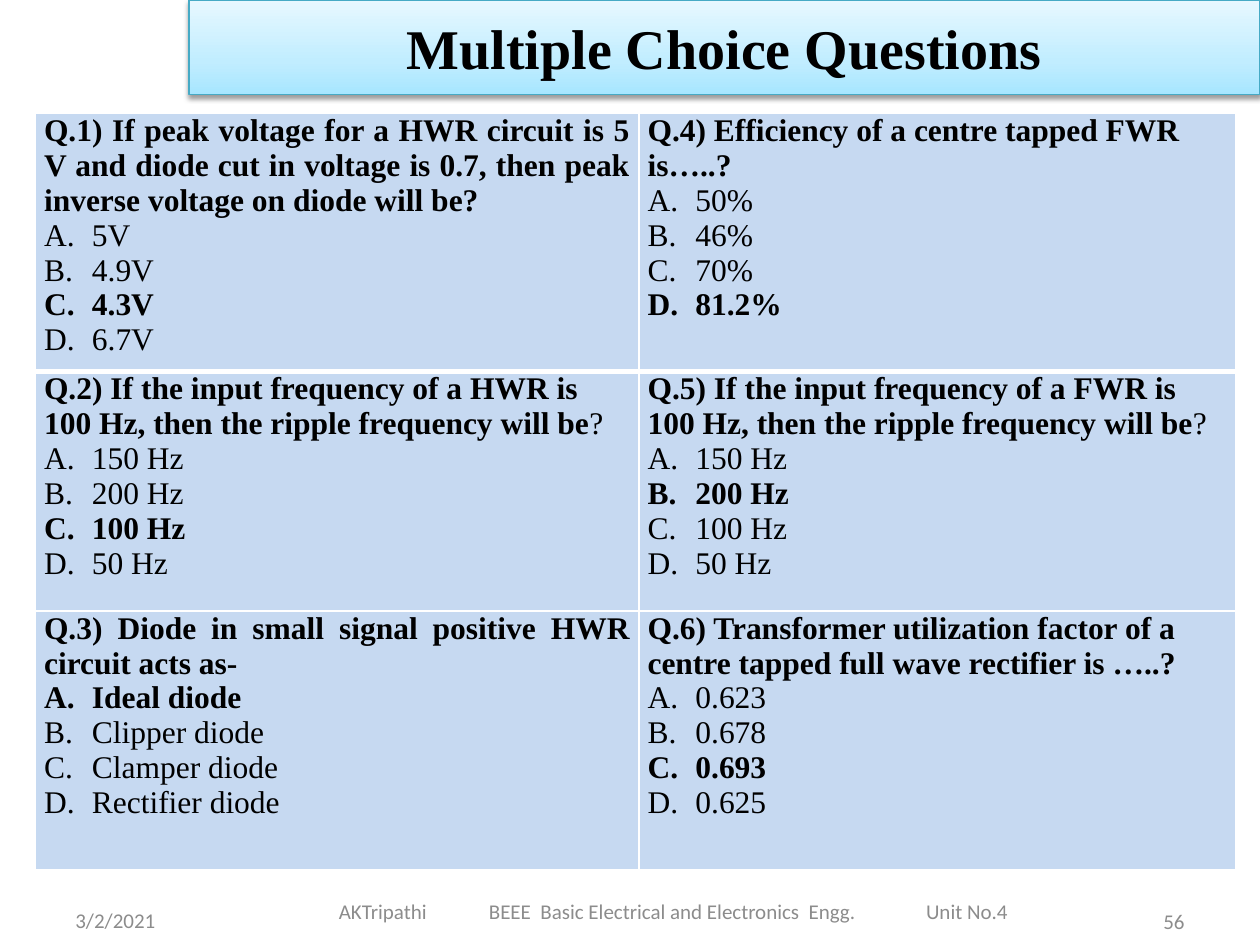
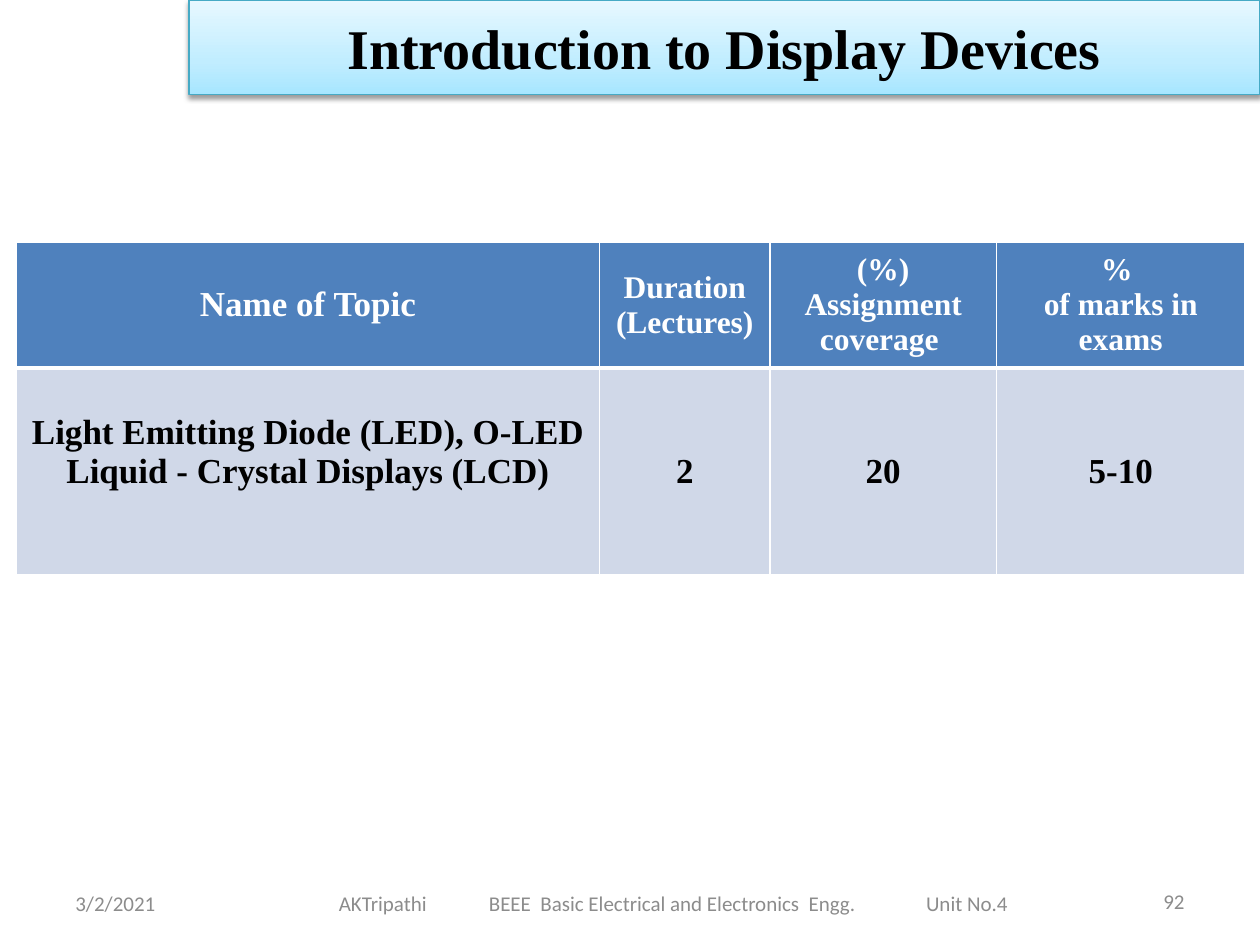
import pptx
import pptx.dml.color
import pptx.enum.shapes
import pptx.enum.text
import pptx.oxml
import pptx.oxml.ns
import pptx.util
from lxml import etree

Inches = pptx.util.Inches
Pt = pptx.util.Pt
ALIGN = pptx.enum.text.PP_ALIGN
ANCHOR = pptx.enum.text.MSO_ANCHOR
qn = pptx.oxml.ns.qn

SERIF, SANS = "Times New Roman", "Calibri"
BLACK, WHITE, GREY = "000000", "FFFFFF", "8C8C8C"
QUESTION_FILL, HEADER_FILL, TOPIC_FILL = "C6D9F1", "4F81BD", "D0D8E8"
BAND_STOPS = [(0, "A7E6FF"), (35, "C1EDFF"), (100, "E7F8FF")]
BAND_LINE = "46AAC5"

DATE = "3/2/2021"
FOOTER = "AKTripathi\tBEEE  Basic Electrical and Electronics  Engg.\tUnit No.4"
FOOTER_TABS = (1.19, 4.66)

# Question runs, options, letter of the answer, question is justified, options are justified
QUESTIONS = [
    [(["Q.1) If peak voltage for a HWR circuit is 5 V and diode cut in voltage is 0.7, "
       "then peak inverse voltage on diode will be?"],
      ["5V", "4.9V", "4.3V", "6.7V"], "C", True, True),
     (["Q.4) Efficiency of a centre tapped FWR is…..?"],
      ["50%", "46%", "70%", "81.2%"], "D", False, False)],
    [(["Q.2) If the input frequency of a HWR is 100 Hz, then the ripple frequency will be", "?"],
      ["150 Hz", "200 Hz", "100 Hz", "50 Hz"], "C", False, True),
     (["Q.5) If the input frequency of a FWR is 100 Hz, then the ripple frequency will be", "?"],
      ["150 Hz", "200 Hz", "100 Hz", "50 Hz"], "B", False, True)],
    [(["Q.3) Diode in small signal positive HWR circuit acts as-"],
      ["Ideal diode", "Clipper diode", "Clamper diode", "Rectifier diode"], "A", True, True),
     (["Q.6) Transformer utilization factor of a centre tapped full wave rectifier is …..?"],
      ["0.623", "0.678", "0.693", "0.625"], "C", False, False)],
]

TOPIC_HEADER = [["Name of Topic"], ["Duration", "(Lectures)"],
                ["(%)", "Assignment coverage "], ["% ", "of marks in exams"]]
TOPIC_ROW = [["Light Emitting Diode (LED), O-LED", "Liquid - Crystal Displays (LCD)"],
             ["2"], ["20"], ["5-10"]]


def color(value):
    return pptx.dml.color.RGBColor.from_string(value)


def add_text(paragraph, text, size=18, font=SERIF, fill=BLACK, bold=False, align=ALIGN.LEFT):
    paragraph.alignment = align
    run = paragraph.add_run()
    run.text = text
    run.font.size = Pt(size)
    run.font.name = font
    run.font.bold = bold
    run.font.color.rgb = color(fill)


def next_paragraph(frame, index):
    return frame.paragraphs[0] if index == 0 else frame.add_paragraph()


def add_tabs(paragraph, positions):
    tabs = etree.SubElement(paragraph._p.get_or_add_pPr(), qn("a:tabLst"))
    for position in positions:
        etree.SubElement(tabs, qn("a:tab"), pos=str(Inches(position)), algn="l")


def add_letter(paragraph, indent=0.38):
    properties = paragraph._p.get_or_add_pPr()
    properties.set("marL", str(Inches(indent)))
    properties.set("indent", str(-Inches(indent)))
    etree.SubElement(properties, qn("a:buFont"), typeface="+mj-lt")
    etree.SubElement(properties, qn("a:buAutoNum"), type="alphaUcPeriod")


def add_solid(parent, value):
    solid = etree.SubElement(parent, qn("a:solidFill"))
    return etree.SubElement(solid, qn("a:srgbClr"), val=value)


def style_cell(cell, fill, top, bottom):
    cell.fill.solid()
    cell.fill.fore_color.rgb = color(fill)
    properties = cell._tc.get_or_add_tcPr()
    for index, (side, width) in enumerate(zip("LRTB", (1, 1, top, bottom))):
        line = etree.Element(qn("a:ln" + side), w=str(Pt(width)))
        add_solid(line, WHITE)
        properties.insert(index, line)


def add_grid(slide, left, top, widths, heights):
    """Add a plain table with the given column widths and row heights."""
    frame = slide.shapes.add_table(len(heights), len(widths), Inches(left), Inches(top),
                                   Inches(sum(widths)), Inches(sum(heights)))
    table = frame.table
    table.first_row = table.horz_banding = False
    for column, width in zip(table.columns, widths):
        column.width = Inches(width)
    for row, height in zip(table.rows, heights):
        row.height = Inches(height)
    return table


# Title band with gradient and soft shadow
def add_title_band(slide, title, left=1.5, top=0, width=8.5, height=0.75):
    band = slide.shapes.add_shape(pptx.enum.shapes.MSO_SHAPE.RECTANGLE, Inches(left),
                                  Inches(top), Inches(width), Inches(height))
    band.line.color.rgb = color(BAND_LINE)
    band.line.width = Pt(0.75)
    band.shadow.inherit = False
    band.fill.solid()

    properties = band._element.spPr
    gradient = etree.Element(qn("a:gradFill"), rotWithShape="1")
    stops = etree.SubElement(gradient, qn("a:gsLst"))
    for position, value in BAND_STOPS:
        stop = etree.SubElement(stops, qn("a:gs"), pos=str(position * 1000))
        etree.SubElement(stop, qn("a:srgbClr"), val=value)
    etree.SubElement(gradient, qn("a:lin"), ang=str(270 * 60000), scaled="0")
    properties.replace(properties.find(qn("a:solidFill")), gradient)

    shadow = etree.SubElement(properties.find(qn("a:effectLst")), qn("a:outerShdw"),
                              blurRad=str(Pt(3.1)), dist=str(Pt(1.6)),
                              dir=str(90 * 60000), rotWithShape="0")
    shade = etree.SubElement(shadow, qn("a:srgbClr"), val=BLACK)
    etree.SubElement(shade, qn("a:alpha"), val="38000")

    band.text_frame.vertical_anchor = ANCHOR.MIDDLE
    add_text(band.text_frame.paragraphs[0], title, size=32, bold=True, align=ALIGN.CENTER)


# Footer: date, course line and slide number, each at its own height
def add_footer(slide, number, date_top, course_top, number_top):
    parts = [(DATE, 0.5, date_top, 2.33, 0.1, ALIGN.LEFT, ()),
             (FOOTER, 2.5, course_top, 5.7, 0.19, ALIGN.LEFT, FOOTER_TABS),
             (number, 7.17, number_top, 2.33, 0.1, ALIGN.RIGHT, ())]
    for text, left, top, width, inset, align, tabs in parts:
        box = slide.shapes.add_textbox(Inches(left), Inches(top), Inches(width), Inches(0.4))
        frame = box.text_frame
        frame.word_wrap = True
        frame.vertical_anchor = ANCHOR.MIDDLE
        frame.margin_left = Inches(inset)
        paragraph = frame.paragraphs[0]
        if tabs:
            add_tabs(paragraph, tabs)
        add_text(paragraph, text, size=12, font=SANS, fill=GREY, align=align)


def fill_question(cell, runs, options, answer, justify_question, justify_options):
    cell.margin_left = cell.margin_right = Inches(0.07)
    cell.margin_top = cell.margin_bottom = 0
    frame = cell.text_frame
    for index, text in enumerate(runs):
        add_text(frame.paragraphs[0], text, bold=index == 0,
                 align=ALIGN.JUSTIFY if justify_question else ALIGN.LEFT)
    for letter, option in zip("ABCD", options):
        paragraph = frame.add_paragraph()
        add_letter(paragraph)
        add_text(paragraph, option, bold=letter == answer,
                 align=ALIGN.JUSTIFY if justify_options else ALIGN.LEFT)


# Two columns of questions with the answers in bold
def add_question_table(slide, left, top):
    table = add_grid(slide, left, top, [4.79, 4.74], [2.05, 1.9, 2.05])
    for row, questions in enumerate(QUESTIONS):
        for column, question in enumerate(questions):
            cell = table.cell(row, column)
            fill_question(cell, *question)
            style_cell(cell, QUESTION_FILL, top=3 if row == 1 else 1,
                       bottom=3 if row == 0 else 1)


# Topic table with a blue header row
def add_topic_table(slide, left, top):
    table = add_grid(slide, left, top, [4.63, 1.35, 1.8, 1.97], [0.93, 1.64])
    rows = [(TOPIC_HEADER, HEADER_FILL, WHITE, 1, 3), (TOPIC_ROW, TOPIC_FILL, BLACK, 3, 1)]
    for row, (texts, fill, text_color, top_line, bottom_line) in enumerate(rows):
        for column, lines in enumerate(texts):
            cell = table.cell(row, column)
            cell.vertical_anchor = ANCHOR.MIDDLE
            size = 18 if row == 0 and column > 0 else 20
            for index, line in enumerate(lines):
                add_text(next_paragraph(cell.text_frame, index), line, size=size,
                         fill=text_color, bold=True, align=ALIGN.CENTER)
            style_cell(cell, fill, top_line, bottom_line)
    # The topic names sit above the middle of their row
    table.cell(1, 0).margin_bottom = Inches(0.36)


def main():
    presentation = pptx.Presentation()
    presentation.slide_width = Inches(10)
    presentation.slide_height = Inches(7.5)
    blank = presentation.slide_layouts[6]

    questions = presentation.slides.add_slide(blank)
    add_title_band(questions, "Multiple Choice Questions")
    add_question_table(questions, 0.28, 0.9)
    add_footer(questions, "56", date_top=7.1, course_top=7.03, number_top=7.11)

    topics = presentation.slides.add_slide(blank)
    add_title_band(topics, "Introduction to Display Devices")
    add_topic_table(topics, 0.13, 1.92)
    add_footer(topics, "92", date_top=6.97, course_top=6.97, number_top=6.95)

    presentation.save("out.pptx")


if __name__ == "__main__":
    main()
